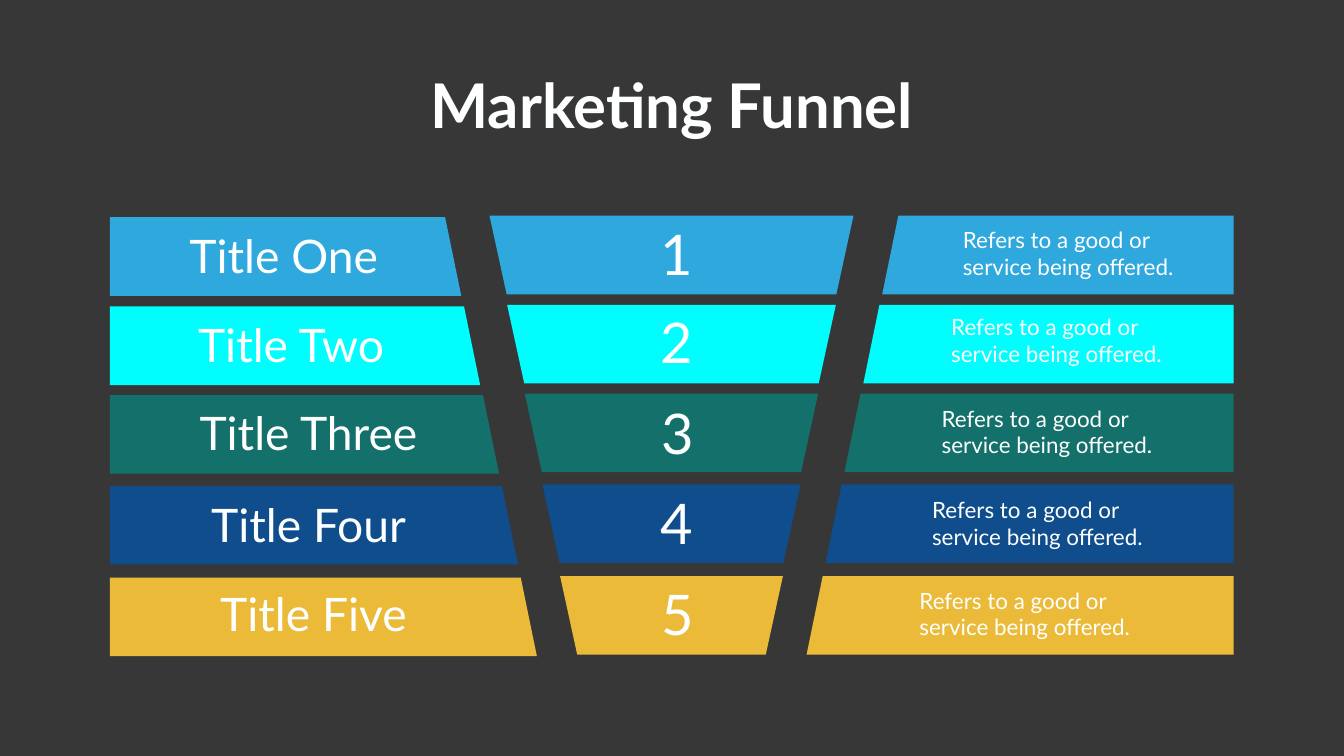
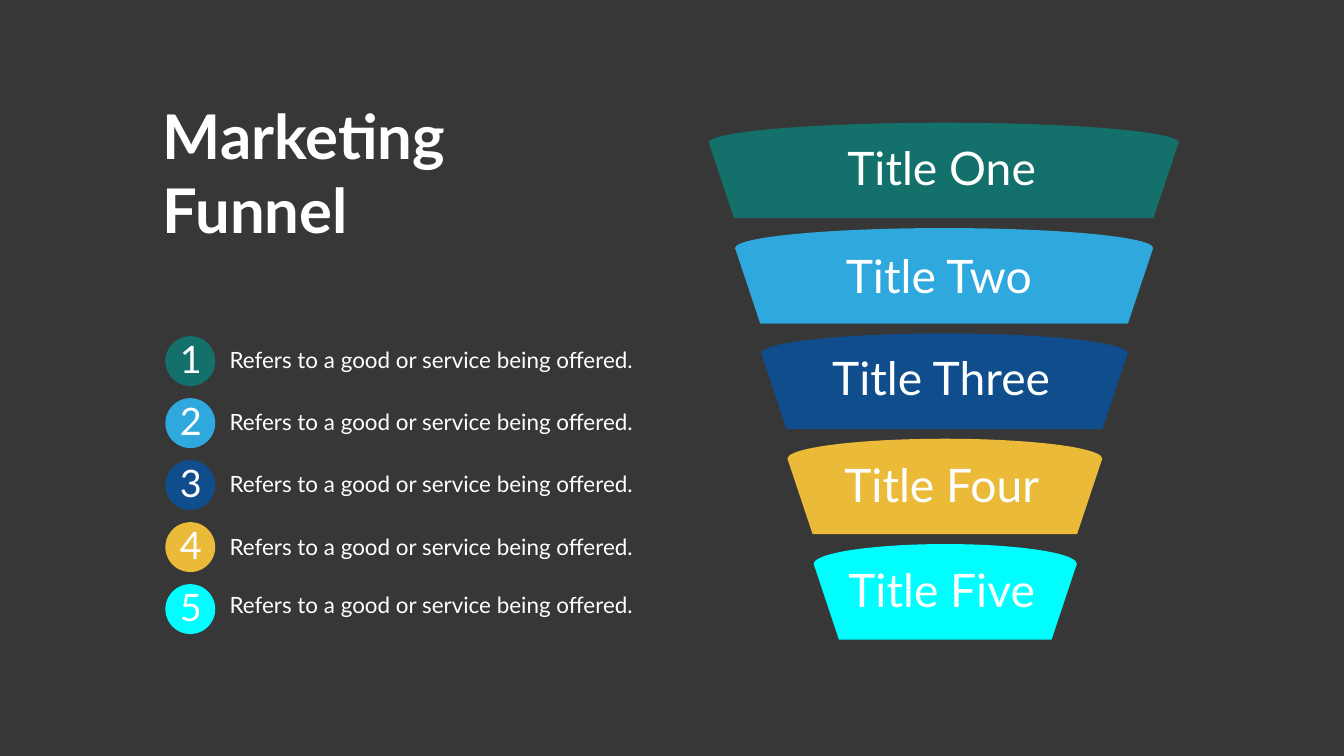
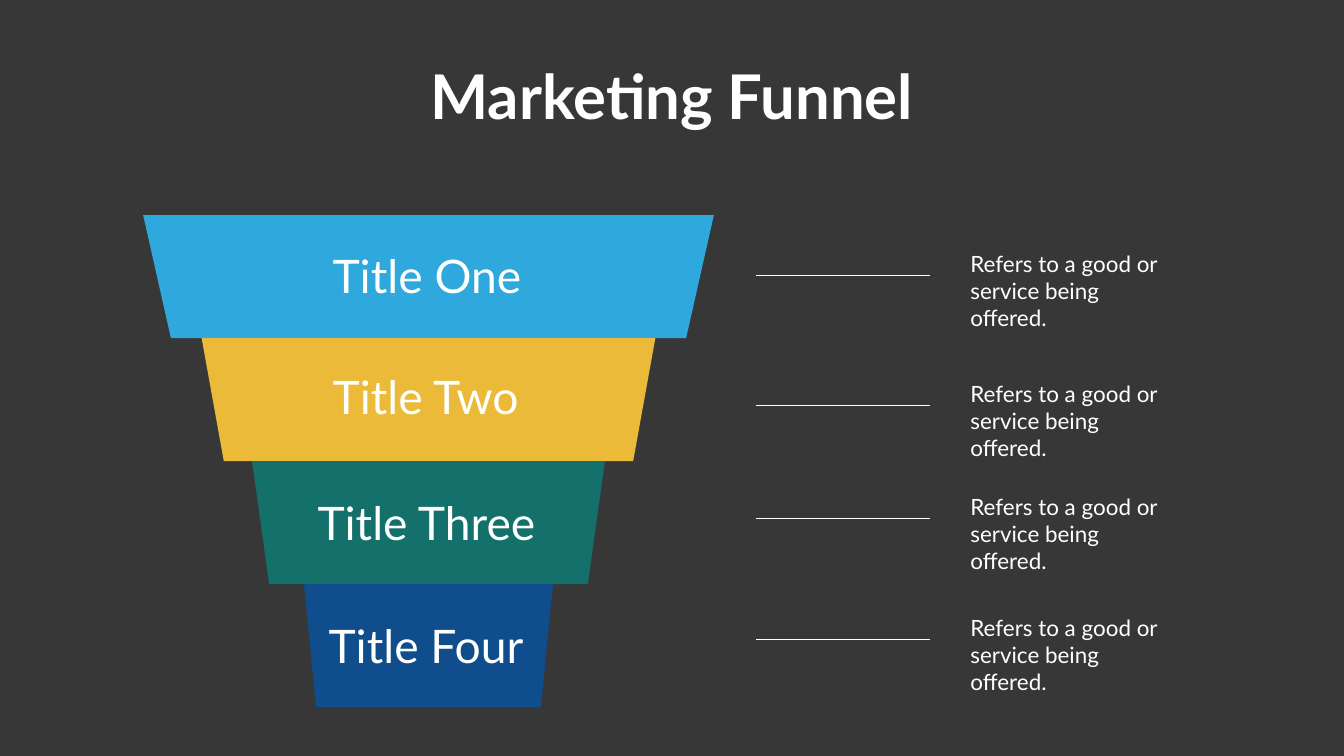
from dataclasses import dataclass
from lxml import etree
from pptx import Presentation
from pptx import util as u
from pptx.dml.color import RGBColor
from pptx.enum import shapes, text


@dataclass(frozen=True)
class Theme:
    bg: str = "373737"
    ink: str = "FEFFFF"
    sky: str = "2FA8DE"
    aqua: str = "00FEFE"
    teal: str = "14706A"
    navy: str = "104D8C"
    gold: str = "EBBA39"
    font: str = "Lato"
    heading: int = 88
    number: int = 80
    label: int = 66
    badge: int = 54
    body: int = 32


T = Theme()
LEFT, CENTER = text.PP_ALIGN.LEFT, text.PP_ALIGN.CENTER

HEADING = ["Marketing", "Funnel"]
DESCRIPTION = ["Refers to a good or", "service being offered."]
LABEL_WIDTHS = {
    "Title One": 4,
    "Title Two": 4.05,
    "Title Three": 4.63,
    "Title Four": 4.15,
    "Title Five": 3.96,
}
LABELS = list(LABEL_WIDTHS)

WINGS = [
    # color, band top, label at, number at, description at
    (T.sky, 4.28, (3.66, 4.47), (13, 4.31), (19, 4.44)),
    (T.aqua, 6.05, (3.83, 6.22), (13.01, 6.05), (18.77, 6.16)),
    (T.teal, 7.81, (3.86, 7.98), (13.03, 7.86), (18.58, 7.98)),
    (T.navy, 9.61, (4.09, 9.79), (13, 9.64), (18.39, 9.79)),
    (T.gold, 11.43, (4.27, 11.56), (13.03, 11.45), (18.14, 11.59)),
]
CURVED = [
    (T.teal, (16.71, 2.71), 6.81),
    (T.sky, (16.68, 4.86), 8.05),
    (T.navy, (16.41, 6.89), 9.28),
    (T.gold, (16.65, 9.01), 10.52),
    (T.aqua, (16.73, 11.08), 11.68),
]
STEPS = [
    (T.sky, 11.32, 0.55, (6.5, 4.86), 5.47),
    (T.gold, 9, 0.44, (6.5, 7.26), 8.04),
    (T.teal, 7, 0.34, (6.2, 9.76), 10.28),
    (T.navy, 4.94, 0.24, (6.42, 12.2), 12.68),
]


def new_slide(prs):
    s = prs.slides.add_slide(prs.slide_layouts[6])
    s.background.fill.solid()
    s.background.fill.fore_color.rgb = RGBColor.from_string(T.bg)
    return s


def paint(sp, color):
    sp.shadow.inherit = False
    sp.fill.solid()
    sp.fill.fore_color.rgb = RGBColor.from_string(color)
    sp.line.fill.background()


def polygon(s, points, color):
    pts = [(u.Inches(x), u.Inches(y)) for x, y in points]
    fb = s.shapes.build_freeform(*pts[0])
    fb.add_line_segments(pts[1:], close=True)
    paint(fb.convert_to_shape(), color)


def trapezoid(s, x, y, w, h, color, left=0, right=0):
    polygon(s, [(x, y), (x + w, y), (x + w - right, y + h), (x + left, y + h)], color)


def oval(s, x, y, w, h, color):
    box = map(u.Inches, (x, y, w, h))
    paint(s.shapes.add_shape(shapes.MSO_SHAPE.OVAL, *box), color)


def write(s, lines, box, size, align=LEFT, bold=None, wrap=False):
    tf = s.shapes.add_textbox(*map(u.Inches, box)).text_frame
    tf.word_wrap = wrap
    tf.auto_size = text.MSO_AUTO_SIZE.SHAPE_TO_FIT_TEXT
    style = {"name": T.font, "size": u.Pt(size), "bold": bold}
    for i, line in enumerate(lines):
        p = tf.paragraphs[0] if i == 0 else tf.add_paragraph()
        p.alignment = align
        r = p.add_run()
        r.text = line
        for key, value in style.items():
            setattr(r.font, key, value)
        r.font.color.rgb = RGBColor.from_string(T.ink)


def heading(s, y):
    write(s, [" ".join(HEADING)], (8.32, y, 10.01, 1.58), T.heading, CENTER, True)


def label(s, name, at):
    write(s, [name], (*at, LABEL_WIDTHS[name], 1.21), T.label)


def rule(s, x1, x2, y):
    ends = map(u.Inches, (x1, y, x2, y))
    ln = s.shapes.add_connector(shapes.MSO_CONNECTOR.STRAIGHT, *ends)
    ln.line.color.rgb = RGBColor.from_string(T.ink)
    ln.line.width = u.Pt(0.57)
    ns = "http://schemas.openxmlformats.org/drawingml/2006/main"
    etree.SubElement(ln._element.spPr, f"{{{ns}}}effectLst")


def winged_funnel(prs):
    s = new_slide(prs)
    axis, height, slant = 13.32, 1.56, 0.32
    for i, (color, y, label_at, number_at, text_at) in enumerate(WINGS):
        half = axis - 9.71 - 0.35 * i
        wing = 6.65 + 0.375 * i
        trapezoid(s, axis - half, y, 2 * half, height, color, 0.34, 0.34)
        trapezoid(s, 24.47 - wing, y, wing, height, color, left=-slant)
        trapezoid(s, 2.18, y + 0.03, wing, height, color, right=-slant)
        label(s, LABELS[i], label_at)
        write(s, [str(i + 1)], (*number_at, 0.85, 1.45), T.number)
        write(s, DESCRIPTION, (*text_at, 4.46, 1.18), T.body)
    heading(s, 1.28)


def curved_funnel(prs):
    s = new_slide(prs)
    write(s, HEADING, (3.13, 1.89, 5.95, 3.06), T.heading, bold=True)
    cap, disc = 0.79, 0.99
    for i, (color, label_at, text_y) in enumerate(CURVED):
        x, y, w = 14.06 + 0.52 * i, 2.83 + 2.09 * i, 9.32 - 1.025 * i
        trapezoid(s, x, y, w, 1.5, color, 0.5, 0.5)
        oval(s, x, y - cap / 2, w, cap, color)
        oval(s, 3.28, 6.67 + 1.23 * i, disc, disc, color)
        write(s, [str(i + 1)], (3.47, 6.62 + 1.23 * i, 0.64, 1.01), T.badge)
        write(s, [" ".join(DESCRIPTION)], (4.41, text_y, 8.29, 0.64), T.body, CENTER, wrap=True)
        label(s, LABELS[i], label_at)


def stepped_funnel(prs):
    s = new_slide(prs)
    axis, height = 8.5, 2.44
    for i, (color, w, slant, label_at, line_y) in enumerate(STEPS):
        trapezoid(s, axis - w / 2, 4.27 + height * i, w, height, color, slant, slant)
        rule(s, 15, 18.44, line_y)
        write(s, DESCRIPTION, (19.15, line_y - 0.55, 4.18, 1.11), T.body, wrap=True)
        label(s, LABELS[i], label_at)
    heading(s, 1.1)


def main():
    prs = Presentation()
    prs.slide_width, prs.slide_height = u.Inches(26.66), u.Inches(15)
    for build in (winged_funnel, curved_funnel, stepped_funnel):
        build(prs)
    prs.save("out.pptx")


if __name__ == "__main__":
    main()
